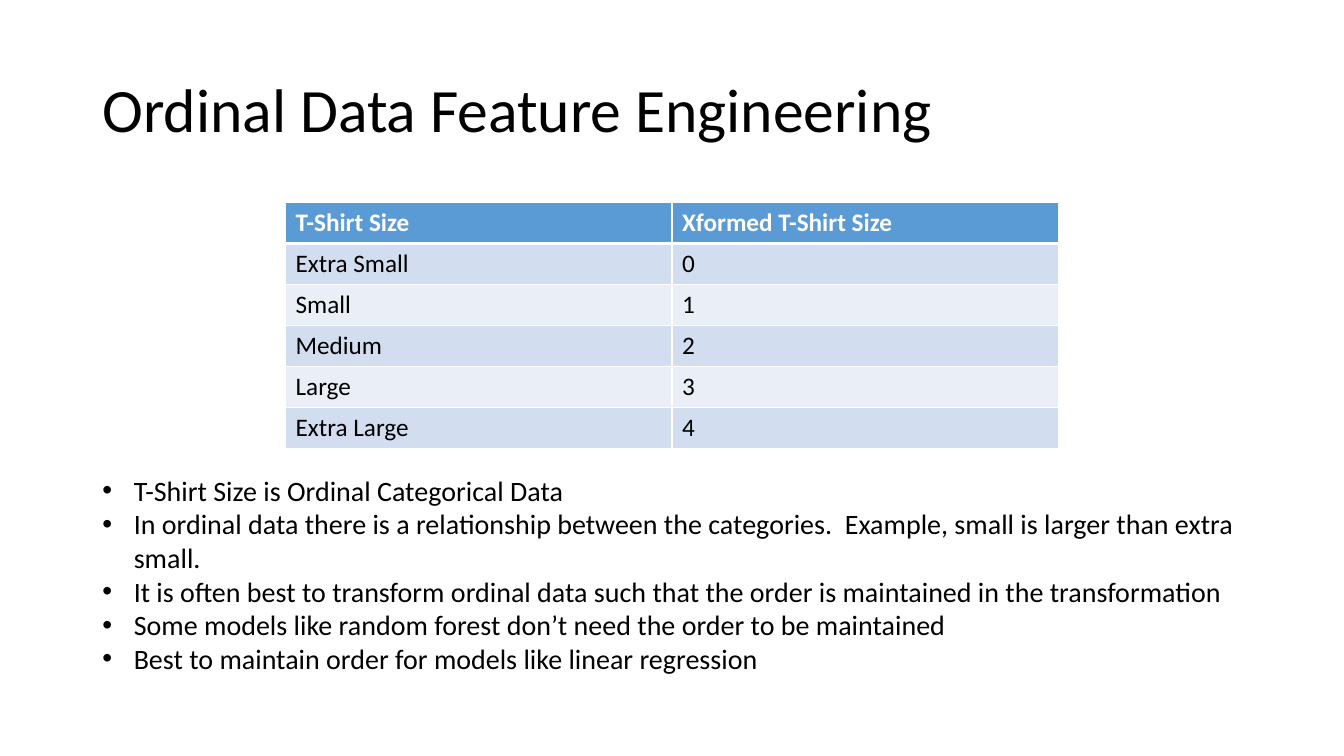
import pptx
import pptx.dml.color
import pptx.enum.text
import pptx.oxml
import pptx.oxml.ns
import pptx.util

SIZE_ROWS = [
    ("T-Shirt Size", "Xformed T-Shirt Size"),
    ("Extra Small", "0"),
    ("Small", "1"),
    ("Medium", "2"),
    ("Large", "3"),
    ("Extra Large", "4"),
]
NOTES = [
    "T-Shirt Size is Ordinal Categorical Data",
    "In ordinal data there is a relationship between the categories.  Example, small is larger than extra small.",
    "It is often best to transform ordinal data such that the order is maintained in the transformation",
    "Some models like random forest don’t need the order to be maintained",
    "Best to maintain order for models like linear regression",
]


def px(length):
    """Turn pixels, 96 to the inch, into EMU."""
    return pptx.util.Emu(length * 9525)


def colour(value):
    """Turn a hex string into a colour."""
    return pptx.dml.color.RGBColor.from_string(value)


class SlideBuilder:
    """Hold the style and the current slide, and add elements to it."""

    font = "Calibri"
    ink = "000000"
    paper = "FFFFFF"
    header = "5B9BD5"
    bands = ("EAEFF7", "D2DEEF")

    def __init__(self, deck):
        """Start a title-only slide."""
        self.slide = deck.slides.add_slide(deck.slide_layouts[5])

    def format_runs(self, para, size, ink, bold=False):
        """Give every run of a paragraph the same look."""
        for span in para.runs:
            span.font.name = self.font
            span.font.size = pptx.util.Pt(size)
            span.font.bold = bold
            span.font.color.rgb = colour(ink)

    def title(self, text, left, top, width, height):
        """Place and fill the title placeholder."""
        box = self.slide.shapes.title
        box.left, box.top, box.width, box.height = map(px, (left, top, width, height))
        frame = box.text_frame
        frame.text = text
        frame.word_wrap = True
        frame.auto_size = pptx.enum.text.MSO_AUTO_SIZE.NONE
        frame.vertical_anchor = pptx.enum.text.MSO_ANCHOR.MIDDLE
        para = frame.paragraphs[0]
        para.alignment = pptx.enum.text.PP_ALIGN.LEFT
        para.line_spacing = 0.9
        self.format_runs(para, 44, self.ink)

    def border(self, cell, side, points):
        """Draw one side of a cell in the paper colour."""
        cell._tc.get_or_add_tcPr().append(pptx.oxml.parse_xml(
            f'<a:ln{side} {pptx.oxml.ns.nsdecls("a")} w="{pptx.util.Pt(points)}">'
            f'<a:solidFill><a:srgbClr val="{self.paper}"/></a:solidFill></a:ln{side}>'))

    def table(self, rows, left, top, column_width, row_height):
        """Add a banded table with a header row."""
        columns = len(rows[0])
        grid = self.slide.shapes.add_table(
            len(rows), columns, px(left), px(top),
            px(column_width * columns), px(row_height * len(rows))).table
        for column in grid.columns:
            column.width = px(column_width)
        for index, values in enumerate(rows):
            grid.rows[index].height = px(row_height)
            is_header = index == 0
            for cell, value in zip(grid.rows[index].cells, values):
                cell.text = value
                self.format_runs(cell.text_frame.paragraphs[0], 18,
                                 self.paper if is_header else self.ink, is_header)
                widths = {"L": 1, "R": 1, "T": 3 if index == 1 else 1, "B": 3 if is_header else 1}
                for side, points in widths.items():
                    self.border(cell, side, points)
                cell.fill.solid()
                cell.fill.fore_color.rgb = colour(self.header if is_header else self.bands[index % 2])

    def bullets(self, lines, left, top, width, height, indent):
        """Add a text box of bulleted lines."""
        box = self.slide.shapes.add_textbox(px(left), px(top), px(width), px(height))
        frame = box.text_frame
        frame.word_wrap = True
        frame.auto_size = pptx.enum.text.MSO_AUTO_SIZE.SHAPE_TO_FIT_TEXT
        frame.text = "\n".join(lines)
        for para in frame.paragraphs:
            properties = para._p.get_or_add_pPr()
            properties.set("marL", str(px(indent)))
            properties.set("indent", str(-px(indent)))
            for mark in ('buFont {} typeface="Arial"', 'buChar {} char="•"'):
                properties.append(pptx.oxml.parse_xml(
                    f'<a:{mark.format(pptx.oxml.ns.nsdecls("a"))}/>'))
            self.format_runs(para, 20, self.ink)


def main():
    """Build the slide and save it."""
    deck = pptx.Presentation()
    deck.slide_width, deck.slide_height = px(1280), px(720)
    page = SlideBuilder(deck)
    page.title("Ordinal Data Feature Engineering", 88, 38, 1104, 139)
    page.table(SIZE_ROWS, 272, 193, 368, 39)
    page.bullets(NOTES, 88, 446, 1104, 204, 30)
    deck.save("out.pptx")


if __name__ == "__main__":
    main()
